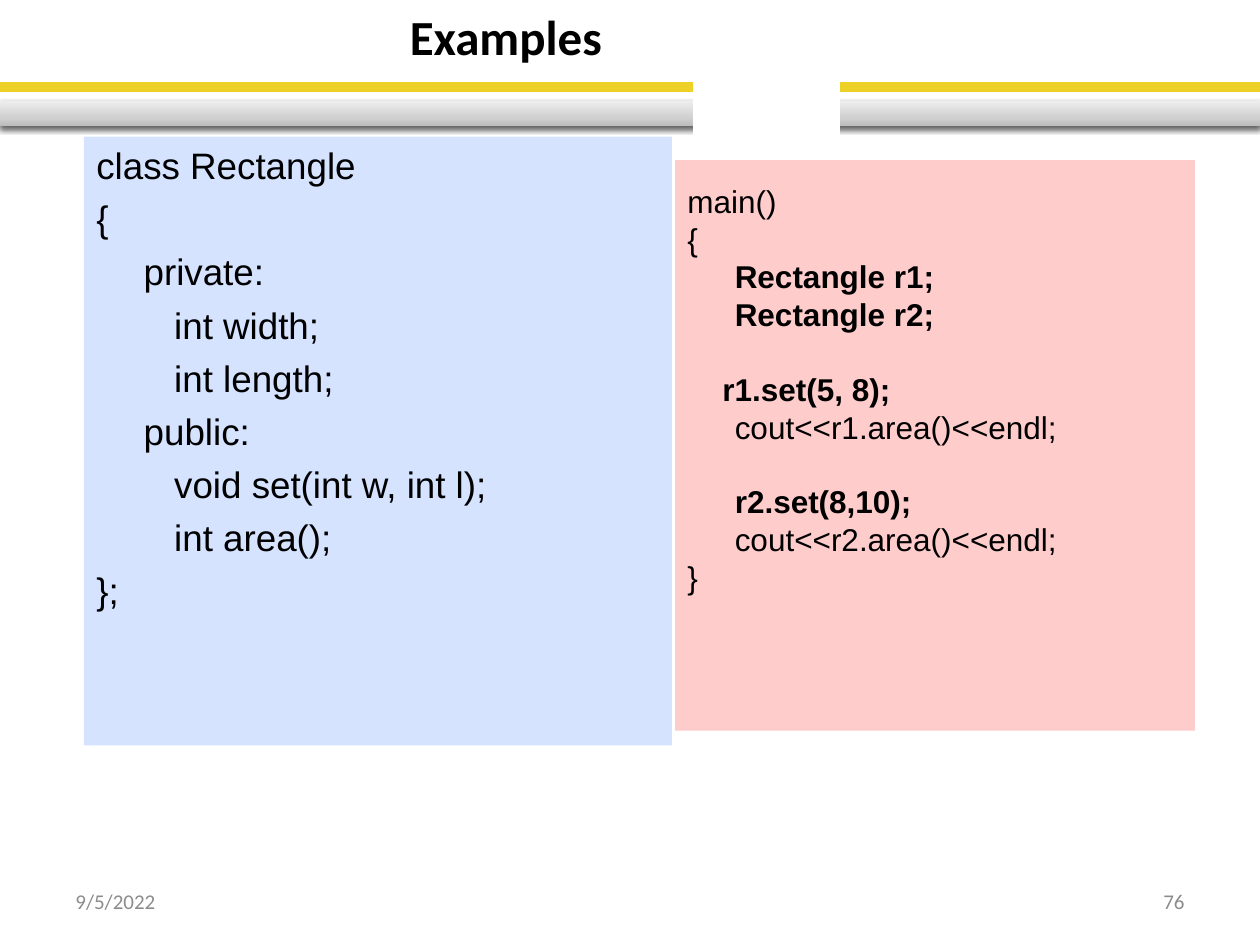
from dataclasses import dataclass

from lxml import etree
from pptx import Presentation
from pptx.dml.color import RGBColor
from pptx.enum.shapes import MSO_SHAPE
from pptx.enum.text import MSO_ANCHOR, PP_ALIGN
from pptx.oxml import parse_xml
from pptx.util import Pt

RECTANGLE, ROUNDED = MSO_SHAPE.RECTANGLE, MSO_SHAPE.ROUNDED_RECTANGLE
TOP, MIDDLE = MSO_ANCHOR.TOP, MSO_ANCHOR.MIDDLE
LEFT, CENTER, RIGHT = PP_ALIGN.LEFT, PP_ALIGN.CENTER, PP_ALIGN.RIGHT
NAMESPACE = "http://schemas.openxmlformats.org/drawingml/2006/main"
CODE_INDENT = 27
METAL_STOPS = ((0, "BDBDBD"), (35, "D1D1D1"), (100, "EEEEEE"))


@dataclass(frozen=True)
class Box:
    """A place on the slide, in points."""

    left: float
    top: float
    width: float
    height: float

    def lengths(self) -> list:
        """Return the four values as lengths."""
        return [Pt(value) for value in (self.left, self.top, self.width, self.height)]


@dataclass(frozen=True)
class Label:
    """One line of Calibri text."""

    text: str
    box: Box
    size: float
    color: str
    alignment: PP_ALIGN
    anchor: MSO_ANCHOR
    bold: bool = False


@dataclass(frozen=True)
class Line:
    """One line of code, with an optional gap of one line above it."""

    text: str
    bold: bool = False
    gap: bool = False


@dataclass(frozen=True)
class CodePanel:
    """A filled panel of code."""

    box: Box
    fill: str
    size: float
    spacing: float
    pitch: float
    line_spacing: float
    top_inset: float
    lines: tuple[Line, ...]


def color(value: str) -> RGBColor:
    """Turn a hex string into a colour."""
    return RGBColor.from_string(value)


def apply_format(target, values: dict) -> None:
    """Set each named attribute on the target."""
    for name, value in values.items():
        setattr(target, name, value)


def add_block(slide, box: Box, fill: str, preset=RECTANGLE):
    """Add a flat shape without an outline."""
    shape = slide.shapes.add_shape(preset, *box.lengths())
    shape.shadow.inherit = False
    shape.fill.solid()
    shape.fill.fore_color.rgb = color(fill)
    shape.line.fill.background()
    return shape


def add_metal_bar(slide, box: Box) -> None:
    """Add a grey gradient bar with a soft shadow below."""
    properties = add_block(slide, box, "D1D1D1")._element.spPr
    stops = "".join(
        f'<a:gs pos="{place * 1000}"><a:srgbClr val="{value}"/></a:gs>'
        for place, value in METAL_STOPS
    )
    gradient = parse_xml(
        f'<a:gradFill xmlns:a="{NAMESPACE}" rotWithShape="1"><a:gsLst>{stops}</a:gsLst>'
        '<a:lin ang="16200000" scaled="0"/></a:gradFill>'
    )
    properties.replace(properties.find(f"{{{NAMESPACE}}}solidFill"), gradient)
    effects = properties.find(f"{{{NAMESPACE}}}effectLst")
    shadow = etree.SubElement(
        effects, f"{{{NAMESPACE}}}outerShdw",
        blurRad=str(Pt(3.1)), dist=str(Pt(1.6)), dir="5400000", rotWithShape="0",
    )
    shade = etree.SubElement(shadow, f"{{{NAMESPACE}}}srgbClr", val="000000")
    etree.SubElement(shade, f"{{{NAMESPACE}}}alpha", val="38000")


def add_label(slide, label: Label) -> None:
    """Add a single line of text."""
    frame = slide.shapes.add_textbox(*label.box.lengths()).text_frame
    apply_format(frame, {"word_wrap": True, "vertical_anchor": label.anchor})
    paragraph = frame.paragraphs[0]
    paragraph.alignment = label.alignment
    run = paragraph.add_run()
    run.text = label.text
    apply_format(run.font, {"name": "Calibri", "size": Pt(label.size), "bold": label.bold})
    run.font.color.rgb = color(label.color)


def add_code_panel(slide, panel: CodePanel) -> None:
    """Add a panel and write its lines of code."""
    frame = add_block(slide, panel.box, panel.fill).text_frame
    apply_format(frame, {
        "word_wrap": True, "vertical_anchor": TOP, "margin_top": Pt(panel.top_inset),
    })
    for index, line in enumerate(panel.lines):
        paragraph = frame.add_paragraph() if index else frame.paragraphs[0]
        before = panel.spacing + (panel.pitch if line.gap else 0) if index else 0
        apply_format(paragraph, {
            "alignment": LEFT, "line_spacing": panel.line_spacing, "space_before": Pt(before),
        })
        paragraph_properties = paragraph._p.get_or_add_pPr()
        paragraph_properties.set("marL", str(Pt(CODE_INDENT)))
        paragraph_properties.set("indent", str(Pt(-CODE_INDENT)))
        run = paragraph.add_run()
        run.text = line.text
        apply_format(run.font, {"name": "Arial", "size": Pt(panel.size), "bold": line.bold})
        run.font.color.rgb = color("000000")


CLASS_PANEL = CodePanel(
    Box(48, 78, 336, 348), "D5E3FF", 21, 5.2, 29.4, 1.0, 3.6,
    (
        Line("class Rectangle"),
        Line("{"),
        Line("\tprivate:"),
        Line("\t   int width;"),
        Line("\t   int length;"),
        Line("\tpublic:"),
        Line("\t   void set(int w, int l);"),
        Line("\t   int area();"),
        Line("};"),
    ),
)
MAIN_PANEL = CodePanel(
    Box(385.8, 91.5, 297, 326), "FFCCCC", 18, 4.35, 20.9, 0.8, 16.5,
    (
        Line("main()"),
        Line("{"),
        Line("\tRectangle r1;", bold=True),
        Line("\tRectangle r2;", bold=True),
        Line("    r1.set(5, 8);", bold=True, gap=True),
        Line("\tcout<<r1.area()<<endl;"),
        Line("\tr2.set(8,10);", bold=True, gap=True),
        Line("\tcout<<r2.area()<<endl;"),
        Line("}"),
    ),
)
LABELS = (
    Label("9/5/2022", Box(36, 500.5, 168, 28.75), 12, "8C8C8C", LEFT, MIDDLE),
    Label("76", Box(516, 500.5, 168, 28.75), 12, "8C8C8C", RIGHT, MIDDLE),
    Label("Examples", Box(8.5, 0, 561, 41), 28, "000000", CENTER, TOP, bold=True),
)


def main() -> None:
    """Build the slide and save it."""
    presentation = Presentation()
    apply_format(presentation, {"slide_width": Pt(720), "slide_height": Pt(540)})
    slide = presentation.slides.add_slide(presentation.slide_layouts[6])
    metal_box = Box(0, 57.6, 720, 14.4)
    add_metal_bar(slide, metal_box)
    stripe = add_block(slide, Box(0, 48, 720, 3.6), "EED126")
    stripe.line.color.rgb = color("EED126")
    stripe.line.width = Pt(2)
    add_metal_bar(slide, metal_box)
    add_block(slide, Box(396, 36, 84, 48), "FFFFFF", ROUNDED)
    for label in LABELS:
        add_label(slide, label)
    for panel in (CLASS_PANEL, MAIN_PANEL):
        add_code_panel(slide, panel)
    presentation.save("out.pptx")


if __name__ == "__main__":
    main()
